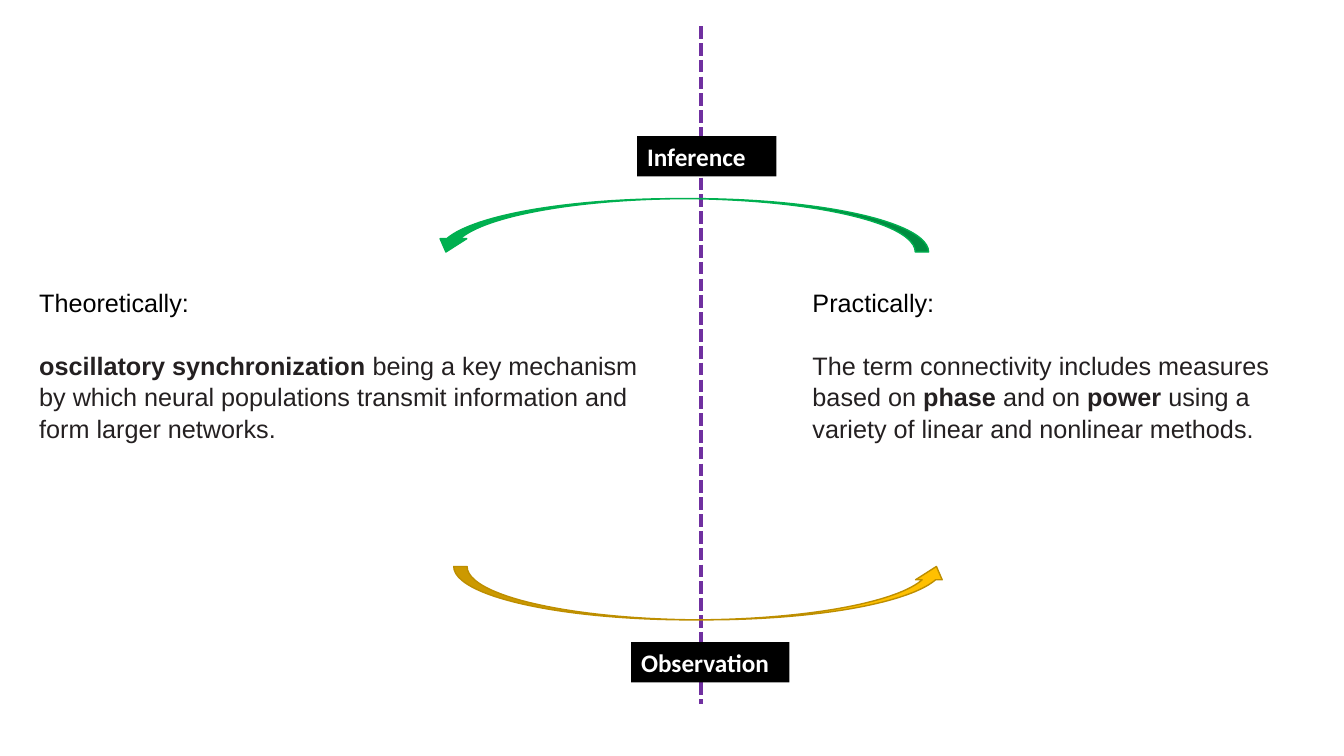
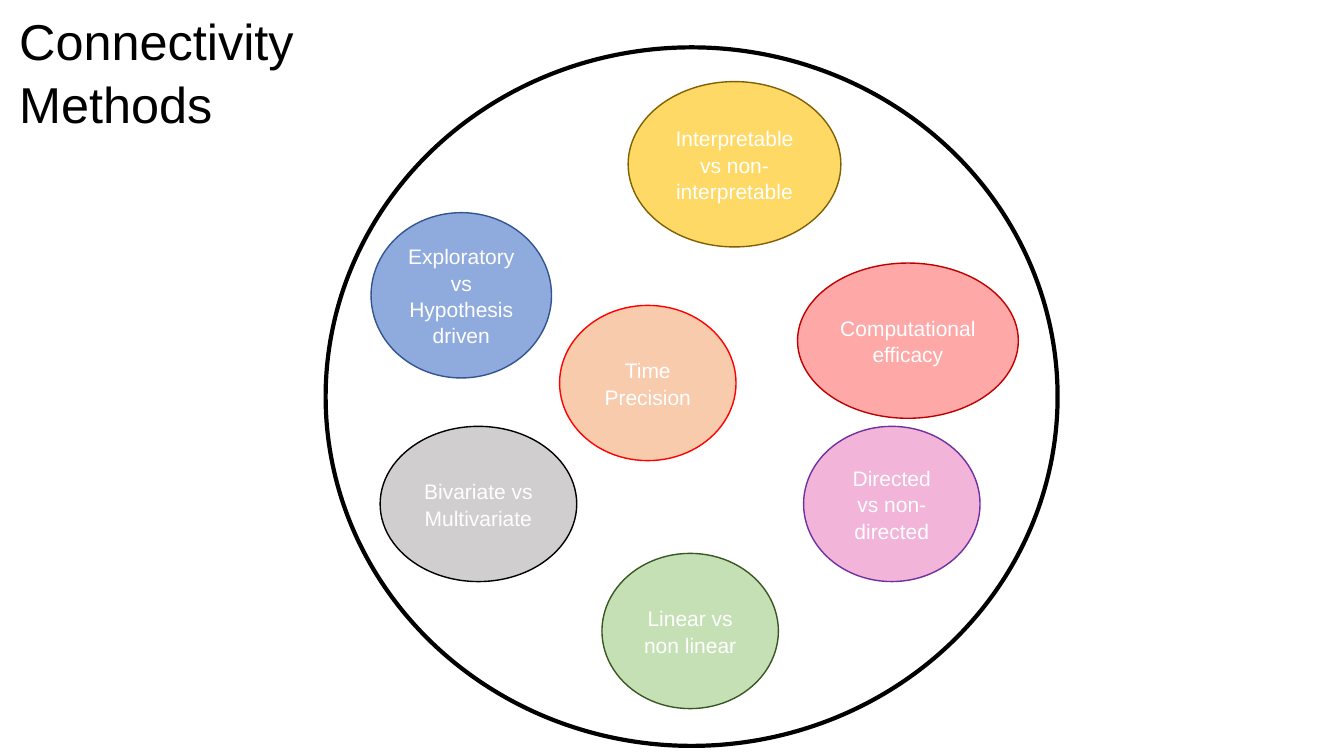
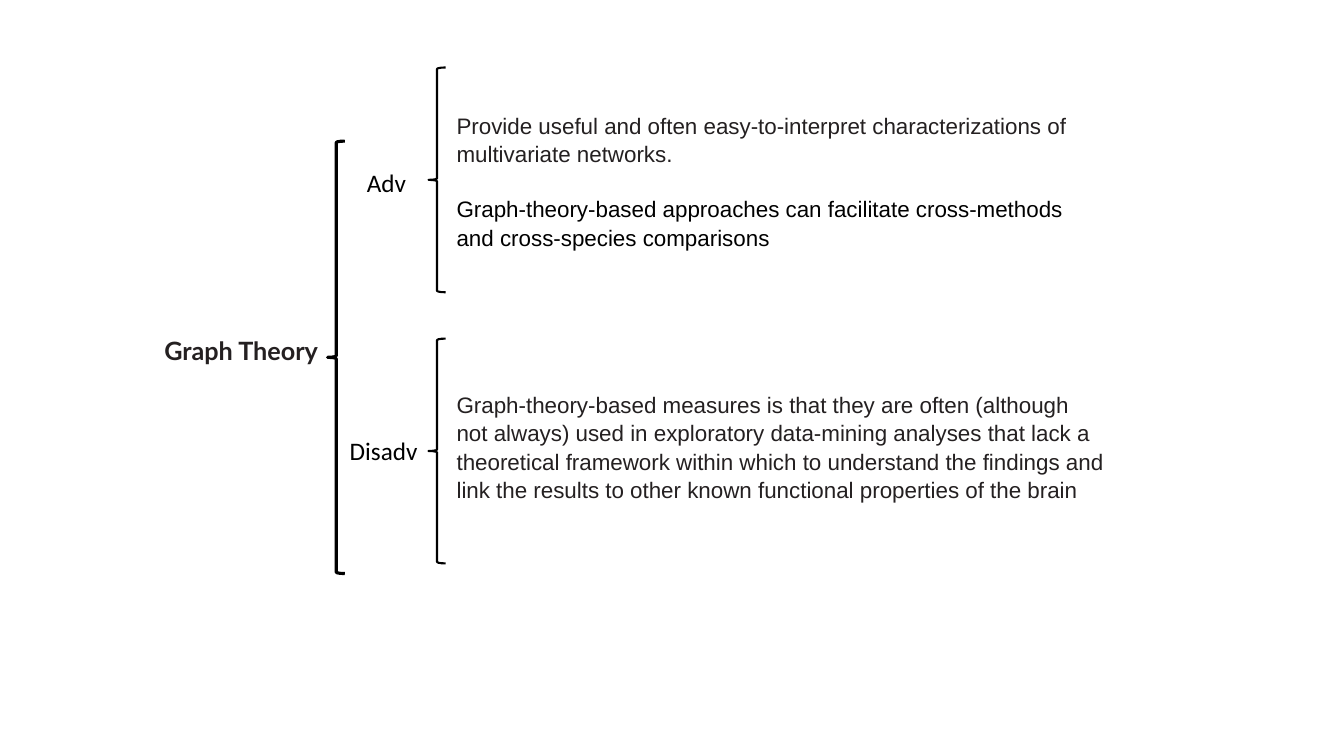
"""Build three slides on connectivity: inference, methods and graph theory."""
from lxml import etree
from pptx import Presentation
from pptx.dml.color import RGBColor
from pptx.enum.dml import MSO_LINE
from pptx.enum.shapes import MSO_CONNECTOR, MSO_SHAPE
from pptx.enum.text import MSO_ANCHOR, MSO_AUTO_SIZE, PP_ALIGN
from pptx.oxml.ns import qn
from pptx.util import Inches, Pt

RECT, OVAL = MSO_SHAPE.RECTANGLE, MSO_SHAPE.OVAL
ARROW, BRACE = MSO_SHAPE.CURVED_UP_ARROW, MSO_SHAPE.LEFT_BRACE
STRAIGHT, DASH = MSO_CONNECTOR.STRAIGHT, MSO_LINE.SQUARE_DOT
TOP, MIDDLE = MSO_ANCHOR.TOP, MSO_ANCHOR.MIDDLE
LEFT, CENTER = PP_ALIGN.LEFT, PP_ALIGN.CENTER
FIXED = MSO_AUTO_SIZE.NONE
BLANK, TITLED = 6, 5

HUES = {
    "black": "000000", "white": "FFFFFF", "ink": "242021",
    "purple": "7030A0", "gold": "FFC000", "bronze": "BD8E00",
    "green": "00B050", "blue": "8FAADC", "navy": "325491",
    "yellow": "FFD966", "olive": "806000", "peach": "F8CBAD",
    "red": "FF0000", "gray": "D0CECE", "mint": "C5E0B4",
    "forest": "385723", "pink": "F2B4D9", "rose": "FEA8A8",
    "crimson": "C00000",
}

VIEWS = [
    ((7.96, 2.79, 4.92, 1.92), [
        [("Practically:", "black", False)],
        [("The term connectivity includes measures based on ", "ink", False),
         ("phase", "ink", True), (" and on ", "ink", False),
         ("power", "ink", True),
         (" using a variety of linear and nonlinear methods.", "ink", False)]]),
    ((0.29, 2.79, 6.38, 1.92), [
        [("Theoretically:", "black", False)],
        [("oscillatory synchronization ", "ink", True),
         ("being a key mechanism by which neural populations transmit "
          "information and form larger networks.", "ink", False)]]),
]
ARROWS = [
    ((4.5, 5.62, 4.92, 0.53), "gold", "bronze", 0),
    ((4.29, 1.97, 4.92, 0.53), "green", "green", 180),
]
TAGS = [
    ("Inference", (6.32, 1.35, 1.38, 0.4)),
    ("Observation", (6.26, 6.37, 1.57, 0.4)),
]
TRAITS = [
    ("Exploratory vs Hypothesis driven", (3.68, 2.11, 1.79, 1.64), "blue", "navy"),
    ("Interpretable vs non-interpretable", (6.23, 0.81, 2.11, 1.64), "yellow", "olive"),
    ("Time Precision", (5.55, 3.03, 1.75, 1.54), "peach", "red"),
    ("Bivariate vs Multivariate", (3.77, 4.23, 1.95, 1.54), "gray", "black"),
    ("Linear vs non linear", (5.97, 5.49, 1.75, 1.54), "mint", "forest"),
    ("Directed vs non-directed", (7.97, 4.23, 1.75, 1.54), "pink", "purple"),
    ("Computational efficacy", (7.91, 2.61, 2.19, 1.54), "rose", "crimson"),
]
SIDES = [
    ("Adv", (3.54, 1.61, 1.19, 0.4), 0.67, (4.43, 1.05, 6.38, 1.45), 19.4, [
        [("Provide useful and often easy-to-interpret characterizations of "
          "multivariate networks.", "ink", False)],
        [("Graph-theory-based approaches can facilitate cross-methods and "
          "cross-species comparisons", "black", False)]]),
    ("Disadv", (3.37, 4.27, 1.19, 0.4), 3.36, (4.43, 3.82, 6.91, 1.72), 0, [
        [("Graph-theory-based measures is that they are often (although",
          "ink", False)],
        [("not always) used in exploratory data-mining analyses that lack a "
          "theoretical framework within which to understand the findings and "
          "link the results to other known functional properties of the brain",
          "ink", False)]]),
]


def color(name):
    return RGBColor.from_string(HUES[name])


def write(shape, paras, size, font="Arial", align=LEFT, anchor=TOP, gap=0):
    """Fill a shape with paragraphs of (text, colour, bold) runs."""
    frame = shape.text_frame
    frame.word_wrap = True
    frame.auto_size = FIXED
    frame.vertical_anchor = anchor
    for i, runs in enumerate(paras):
        para = frame.add_paragraph() if i else frame.paragraphs[0]
        para.alignment = align
        para.space_before = Pt(gap if i else 0)
        para.line_spacing = 1.05 if font == "Arial" else 1.0
        for text, hue, bold in runs:
            run = para.add_run()
            run.text = text
            run.font.name = font
            run.font.size = Pt(size)
            run.font.bold = bold
            run.font.color.rgb = color(hue)


def label(slide, box, paras, size, **style):
    """Add a text box."""
    write(slide.shapes.add_textbox(*map(Inches, box)), paras, size, **style)


def draw(slide, kind, box, fill=None, line=None, width=1):
    """Add a flat preset shape."""
    shape = slide.shapes.add_shape(kind, *map(Inches, box))
    shape.shadow.inherit = False
    if fill:
        shape.fill.solid()
        shape.fill.fore_color.rgb = color(fill)
    else:
        shape.fill.background()
    if line:
        shape.line.color.rgb = color(line)
        shape.line.width = Pt(width)
    else:
        shape.line.fill.background()
    return shape


def head(slide, text, box, size, font, hue, bold):
    """Place and format the title."""
    title = slide.shapes.title
    title.left, title.top, title.width, title.height = map(Inches, box)
    write(title, [[(text, hue, bold)]], size, font)


def infer(slide):
    """Set theory against practice."""
    for box, paras in VIEWS:
        label(slide, box, paras, 18, gap=21.8)
    axis = slide.shapes.add_connector(
        STRAIGHT, *map(Inches, (6.95, 0.26, 6.95, 6.98)))
    axis.line.color.rgb = color("purple")
    axis.line.width = Pt(3)
    axis.line.dash_style = DASH
    etree.SubElement(axis.line._get_or_add_ln().getparent(), qn("a:effectLst"))
    for box, fill, line, turn in ARROWS:
        draw(slide, ARROW, box, fill, line).rotation = turn
    for text, box in TAGS:
        write(draw(slide, RECT, box, "black"),
              [[(text, "white", True)]], 18, "Calibri")


def methods(slide):
    """Gather the traits of the methods in one circle."""
    draw(slide, OVAL, (3.23, 0.47, 7.26, 6.93), "white", "black", 3)
    for text, box, fill, line in TRAITS:
        write(draw(slide, OVAL, box, fill, line),
              [[(text, "white", False)]], 15, align=CENTER, anchor=MIDDLE)
    head(slide, "Connectivity Methods", (0.09, 0.02, 4.5, 1.31),
         36, "Arial", "black", False)


def graph(slide):
    """Branch graph theory into its pros and cons."""
    head(slide, "Graph Theory", (1.53, 3.28, 2.13, 0.71),
         18, "Lato", "ink", True)
    draw(slide, BRACE, (3.25, 1.4, 0.17, 4.29), line="black", width=2.25)
    for name, spot, top, box, gap, paras in SIDES:
        label(slide, spot, [[(name, "black", False)]], 18, font="Calibri")
        draw(slide, BRACE, (4.25, top, 0.17, 2.23), line="black", width=1.5)
        label(slide, box, paras, 16, gap=gap)


def main():
    deck = Presentation()
    deck.slide_width, deck.slide_height = Inches(13.33), Inches(7.5)
    for build, layout in ((infer, BLANK), (methods, TITLED), (graph, TITLED)):
        build(deck.slides.add_slide(deck.slide_layouts[layout]))
    deck.save("out.pptx")


if __name__ == "__main__":
    main()
